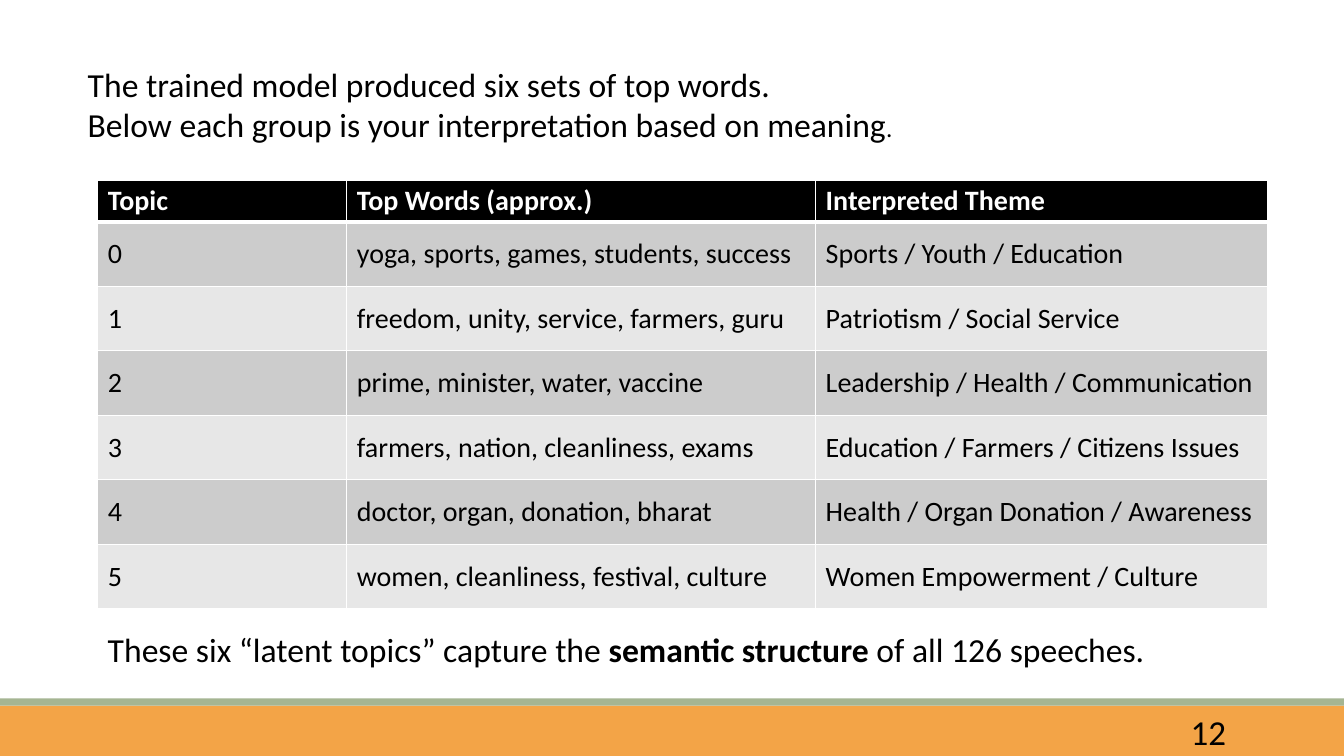
from dataclasses import dataclass

from lxml import etree
from pptx import Presentation
from pptx import util as u
from pptx.dml.color import RGBColor
from pptx.enum import shapes, text
from pptx.oxml.ns import qn

SCALE = 9144
FONT = "Calibri"
BLACK = RGBColor(0x00, 0x00, 0x00)
WHITE = RGBColor(0xFF, 0xFF, 0xFF)
ORANGE = RGBColor(0xF3, 0xA4, 0x47)
GREEN = RGBColor(0xA5, 0xB5, 0x92)
DARK_BAND = RGBColor(0xCC, 0xCC, 0xCC)
LIGHT_BAND = RGBColor(0xE7, 0xE7, 0xE7)


@dataclass(frozen=True)
class Box:
    left: int
    top: int
    width: int
    height: int

    def emu(self) -> list[int]:
        return [px(n) for n in (self.left, self.top, self.width, self.height)]


@dataclass(frozen=True)
class Bar:
    box: Box
    color: RGBColor


@dataclass(frozen=True)
class Span:
    words: str
    size: int = 24
    bold: bool = False
    color: RGBColor = BLACK
    break_after: bool = False


@dataclass(frozen=True)
class Label:
    box: Box
    spans: tuple[Span, ...]
    anchor: text.MSO_ANCHOR = text.MSO_ANCHOR.TOP
    align: text.PP_ALIGN = text.PP_ALIGN.LEFT


BARS = (
    Bar(Box(0, 700, 1333, 50), ORANGE),
    Bar(Box(0, 693, 1333, 7), GREEN),
)
INTRO = Label(
    Box(77, 58, 1133, 121),
    (
        Span("The trained model produced six sets of top words.", break_after=True),
        Span("Below each group is your interpretation based on meaning"),
        Span(".", size=18),
    ),
)
SUMMARY = Label(
    Box(97, 619, 1055, 50),
    (
        Span("These six “latent topics” capture the "),
        Span("semantic structure", bold=True),
        Span(" of all 126 speeches."),
    ),
)
PAGE_NUMBER = Label(
    Box(1083, 706, 143, 40),
    (Span("12", size=25),),
    text.MSO_ANCHOR.MIDDLE,
    text.PP_ALIGN.RIGHT,
)
TABLE_BOX = Box(97, 179, 1160, 425)
COLUMN_WIDTHS = (247, 465, 448)
HEADER_HEIGHT, ROW_HEIGHT = 41, 64
HEADINGS = ("Topic", "Top Words (approx.)", "Interpreted Theme")
TOPICS = (
    ("yoga, sports, games, students, success", "Sports / Youth / Education"),
    ("freedom, unity, service, farmers, guru", "Patriotism / Social Service"),
    ("prime, minister, water, vaccine", "Leadership / Health / Communication"),
    ("farmers, nation, cleanliness, exams", "Education / Farmers / Citizens Issues"),
    ("doctor, organ, donation, bharat", "Health / Organ Donation / Awareness"),
    ("women, cleanliness, festival, culture", "Women Empowerment / Culture"),
)


def px(length: int) -> int:
    return u.Emu(length * SCALE)


def apply(target, formats: dict) -> None:
    for name, value in formats.items():
        setattr(target, name, value)


def write_spans(para, spans: tuple[Span, ...]) -> None:
    for span in spans:
        run = para.add_run()
        run.text = span.words
        apply(run.font, {"name": FONT, "size": u.Pt(span.size), "bold": span.bold})
        run.font.color.rgb = span.color
        if span.break_after:
            para.add_line_break()


def fill_label(shape, label: Label) -> None:
    apply(shape, dict(zip(("left", "top", "width", "height"), label.box.emu())))
    apply(shape.text_frame, {
        "word_wrap": True,
        "auto_size": text.MSO_AUTO_SIZE.NONE,
        "vertical_anchor": label.anchor,
    })
    para = shape.text_frame.paragraphs[0]
    apply(para, {"alignment": label.align, "line_spacing": 1.0})
    write_spans(para, label.spans)


def draw_bar(page, bar: Bar) -> None:
    shape = page.shapes.add_shape(shapes.MSO_SHAPE.RECTANGLE, *bar.box.emu())
    shape.shadow.inherit = False
    shape.fill.solid()
    shape.fill.fore_color.rgb = bar.color
    shape.line.fill.background()


def set_borders(cell, points: dict[str, int]) -> None:
    properties = cell._tc.get_or_add_tcPr()
    for index, (side, width) in enumerate(points.items()):
        line = etree.Element(qn(f"a:ln{side}"), w=str(u.Pt(width)))
        fill = etree.SubElement(line, qn("a:solidFill"))
        etree.SubElement(fill, qn("a:srgbClr"), val=str(WHITE))
        properties.insert(index, line)


def draw_table(page) -> None:
    rows = [HEADINGS] + [(str(n), *topic) for n, topic in enumerate(TOPICS)]
    table = page.shapes.add_table(len(rows), len(HEADINGS), *TABLE_BOX.emu()).table
    for column, width in zip(table.columns, COLUMN_WIDTHS):
        column.width = px(width)
    for r, row in enumerate(rows):
        header = r == 0
        table.rows[r].height = px(HEADER_HEIGHT if header else ROW_HEIGHT)
        band = BLACK if header else DARK_BAND if r % 2 else LIGHT_BAND
        color = WHITE if header else BLACK
        for c, words in enumerate(row):
            cell = table.cell(r, c)
            apply(cell, {
                "vertical_anchor": text.MSO_ANCHOR.MIDDLE,
                "margin_top": px(3),
                "margin_bottom": px(3),
            })
            cell.fill.solid()
            cell.fill.fore_color.rgb = band
            set_borders(cell, {
                "L": 1, "R": 1, "T": 3 if r == 1 else 1, "B": 3 if header else 1,
            })
            write_spans(cell.text_frame.paragraphs[0],
                        (Span(words, 20, header, color),))


def main() -> None:
    deck = Presentation()
    apply(deck, {"slide_width": px(1333), "slide_height": px(750)})
    page = deck.slides.add_slide(deck.slide_layouts.get_by_name("Title Only"))
    for bar in BARS:
        draw_bar(page, bar)
    fill_label(page.shapes.title, INTRO)
    draw_table(page)
    for label in (SUMMARY, PAGE_NUMBER):
        fill_label(page.shapes.add_textbox(*label.box.emu()), label)
    deck.save("out.pptx")


if __name__ == "__main__":
    main()
